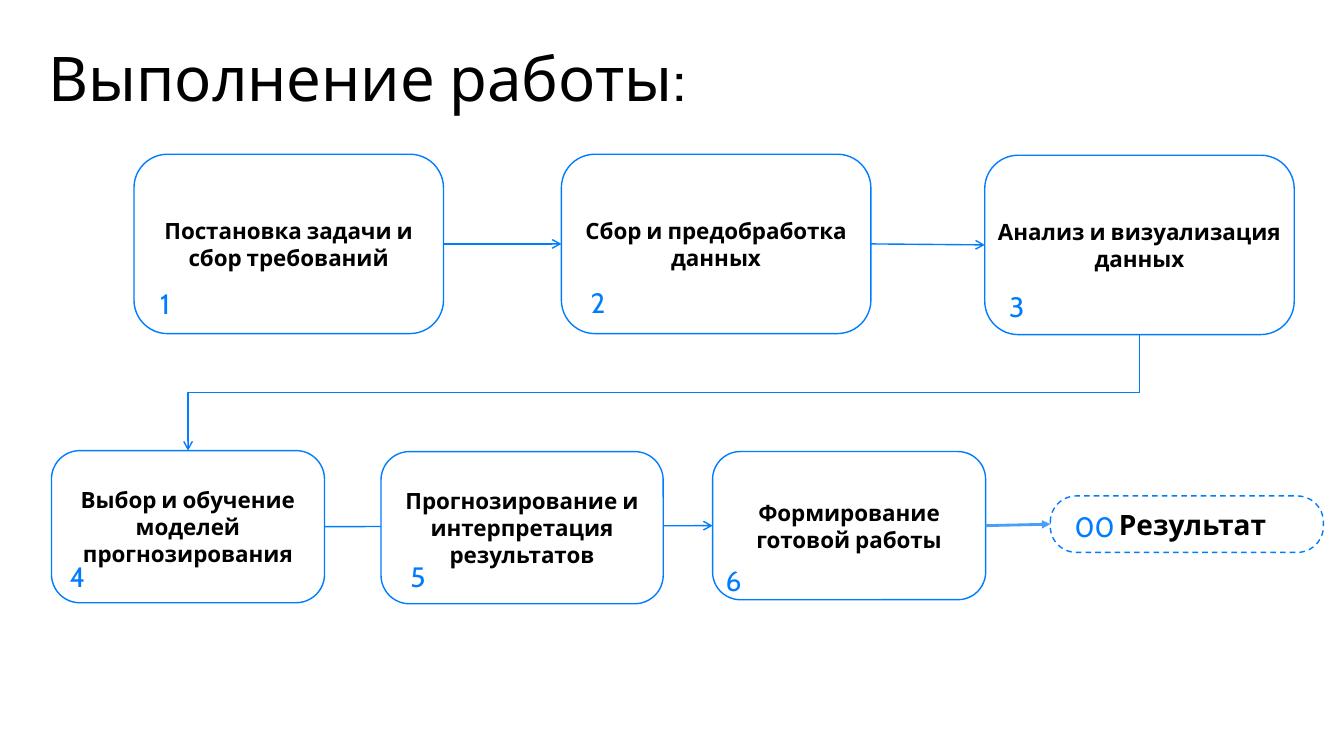
"""Build the six-step workflow slide."""
from dataclasses import dataclass

from lxml.etree import SubElement
from pptx import Presentation
from pptx.dml.color import RGBColor
from pptx.enum.dml import MSO_LINE
from pptx.enum.shapes import MSO_CONNECTOR, MSO_SHAPE
from pptx.enum.text import MSO_ANCHOR, MSO_AUTO_SIZE, PP_ALIGN
from pptx.oxml.ns import qn
from pptx.shapes.autoshape import Shape
from pptx.shapes.connector import Connector
from pptx.slide import Slide
from pptx.util import Inches, Pt

FONT = "Cabin"
BLUE, LIGHT_BLUE, BLACK, WHITE = "007DFF", "499EFA", "000000", "FFFFFF"
WIDTH, HEIGHT = Inches(13.33), Inches(7.5)
COLUMN, ROW = WIDTH / 100, HEIGHT / 100
TOP, LEFT, BOTTOM, RIGHT = range(4)


@dataclass(frozen=True)
class Area:
    column: float
    row: float
    columns: float
    rows: float

    def lengths(self) -> tuple[int, int, int, int]:
        return (round(self.column * COLUMN), round(self.row * ROW),
                round(self.columns * COLUMN), round(self.rows * ROW))


@dataclass(frozen=True)
class Stage:
    number: str
    label: str
    area: Area
    number_column: float
    number_row: float


@dataclass(frozen=True)
class Arrow:
    start: str
    end: str
    color: str = BLUE
    points: float = 1
    head: str = "arrow"


STAGES = [
    Stage("1", "Постановка задачи и сбор требований", Area(9.97, 20.4, 23.03, 23.73), 11.92, 37.87),
    Stage("2", "Сбор и предобработка данных", Area(41.77, 20.4, 23.03, 23.73), 43.95, 37.73),
    Stage("3", "Анализ и визуализация данных", Area(73.27, 20.53, 23.03, 23.73), 75.08, 38.27),
    Stage("4", "Выбор и обучение моделей прогнозирования", Area(3.83, 59.6, 20.32, 20.13), 5.18, 74),
    Stage("6", "Формирование готовой работы", Area(53.02, 59.73, 20.32, 19.6), 54, 74.53),
]
FORECAST = Stage("5", "Прогнозирование и интерпретация результатов",
                 Area(28.35, 59.73, 21, 20.13), 30.53, 74)
RESULT = Stage("00", "", Area(78.15, 65.6, 20.32, 7.47), 79.95, 67.33)
ARROWS = [Arrow("1", "2"), Arrow("2", "3"), Arrow("4", "6"),
          Arrow("6", "00", LIGHT_BLUE, 2, "triangle")]


def rgb(color: str) -> RGBColor:
    """Turn a hex string into a colour."""
    return RGBColor.from_string(color)


def write(box: Shape, text: str, size: float, color: str = BLACK, bold: bool = False,
          align: PP_ALIGN = PP_ALIGN.LEFT, anchor: MSO_ANCHOR = MSO_ANCHOR.TOP,
          spacing: float = 1.0) -> None:
    """Fill a shape with one formatted paragraph."""
    frame = box.text_frame
    frame.text = text
    frame.word_wrap = True
    frame.vertical_anchor = anchor
    frame.margin_left = frame.margin_right = frame.margin_top = frame.margin_bottom = 0
    para = frame.paragraphs[0]
    para.alignment = align
    para.line_spacing = spacing
    for span in para.runs:
        span.font.name, span.font.size, span.font.bold = FONT, Pt(size), bold
        span.font.color.rgb = rgb(color)


def add_text(page: Slide, area: Area) -> Shape:
    """Add a text box that grows with its text."""
    box = page.shapes.add_textbox(*area.lengths())
    box.text_frame.auto_size = MSO_AUTO_SIZE.SHAPE_TO_FIT_TEXT
    return box


def add_stage(page: Slide, stage: Stage, corner: float = 0.187) -> Shape:
    """Draw a rounded stage box with its number."""
    box = page.shapes.add_shape(MSO_SHAPE.ROUNDED_RECTANGLE, *stage.area.lengths())
    box.adjustments[0] = corner
    box.shadow.inherit = False
    box.fill.solid()
    box.fill.fore_color.rgb = rgb(WHITE)
    box.line.color.rgb = rgb(BLUE)
    box.line.width = Pt(1)
    if stage.label:
        write(box, stage.label, 16, bold=True, align=PP_ALIGN.CENTER, anchor=MSO_ANCHOR.MIDDLE)
    number = add_text(page, Area(stage.number_column, stage.number_row, 3.5, 4.53))
    write(number, stage.number, 20, BLUE)
    return box


def add_arrow(page: Slide, boxes: dict[str, Shape], arrow: Arrow,
              kind: MSO_CONNECTOR = MSO_CONNECTOR.STRAIGHT,
              sides: tuple[int, int] = (RIGHT, LEFT)) -> Connector:
    """Join two boxes with an arrow."""
    connector = page.shapes.add_connector(kind, 0, 0, 0, 0)
    connector.begin_connect(boxes[arrow.start], sides[0])
    connector.end_connect(boxes[arrow.end], sides[1])
    connector.line.color.rgb = rgb(arrow.color)
    connector.line.width = Pt(arrow.points)
    SubElement(connector.line._get_or_add_ln(), qn("a:tailEnd"), type=arrow.head)
    SubElement(connector._element.spPr, qn("a:effectLst"))
    return connector


def turn_down(connector: Connector) -> None:
    """Turn an elbow so that it leaves downwards and runs to the left."""
    width, height = connector.width, connector.height
    connector.left += (width - height) // 2
    connector.top += (height - width) // 2
    connector.width, connector.height = height, width
    frame = connector._element.spPr.find(qn("a:xfrm"))
    frame.attrib.pop("flipH", None)
    connector.rotation = 90
    frame.set("rot", str(90 * 60000))


def main() -> None:
    """Build and save the deck."""
    deck = Presentation()
    deck.slide_width, deck.slide_height = WIDTH, HEIGHT
    page = deck.slides.add_slide(deck.slide_layouts[6])
    write(add_text(page, Area(3.6, 6.4, 92.7, 9.47)), "Выполнение работы:", 44, spacing=0.9)

    boxes = {stage.number: add_stage(page, stage) for stage in STAGES}
    result = boxes[RESULT.number] = add_stage(page, RESULT, corner=0.463)
    result.line.dash_style = MSO_LINE.DASH
    write(add_text(page, Area(81.75, 67.6, 13.95, 4)), "Результат", 20, bold=True,
          align=PP_ALIGN.CENTER, anchor=MSO_ANCHOR.BOTTOM, spacing=0.9)

    for arrow in ARROWS:
        add_arrow(page, boxes, arrow)
    turn_down(add_arrow(page, boxes, Arrow("3", "4"), MSO_CONNECTOR.ELBOW, (BOTTOM, TOP)))
    add_stage(page, FORECAST)
    deck.save("out.pptx")


if __name__ == "__main__":
    main()
